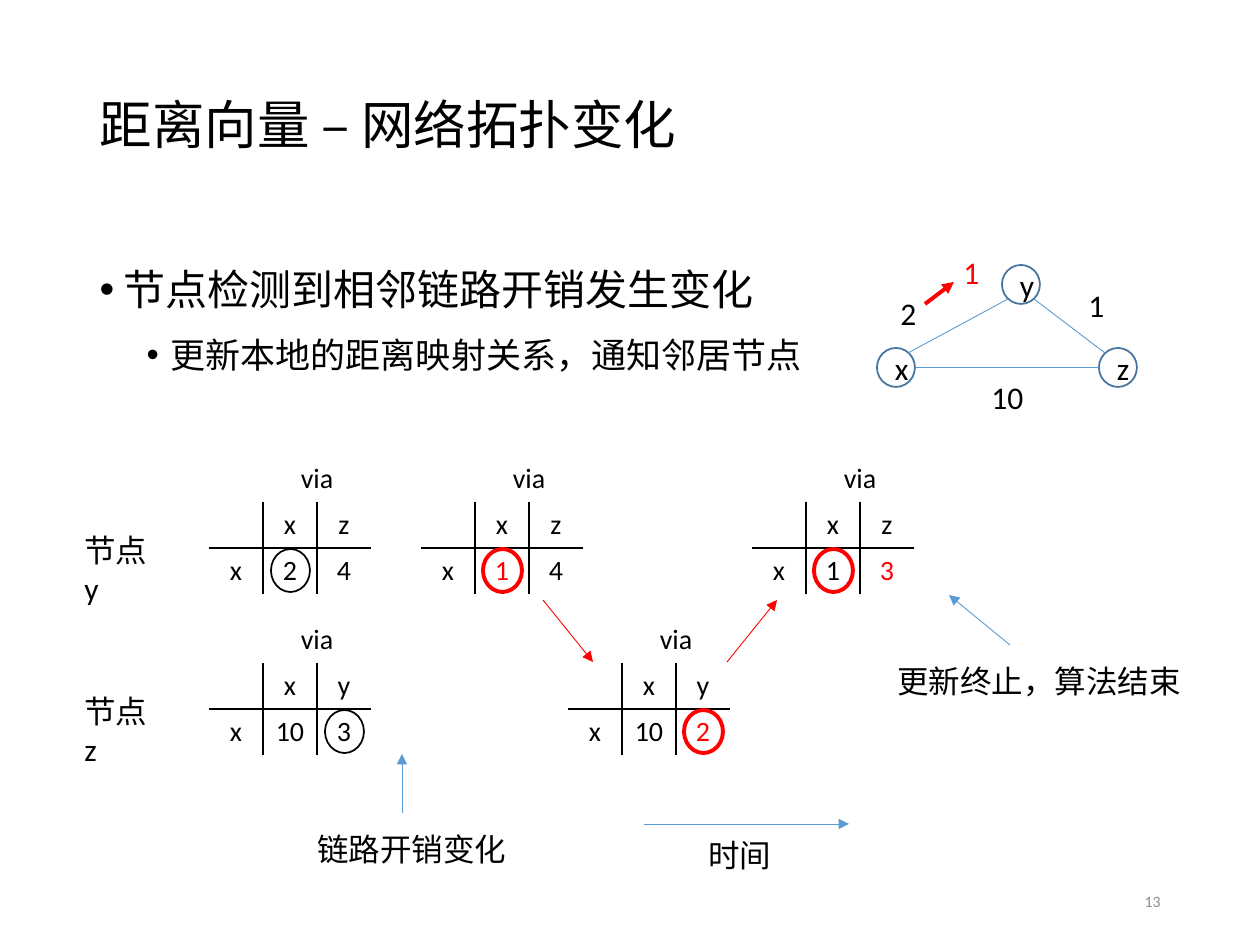
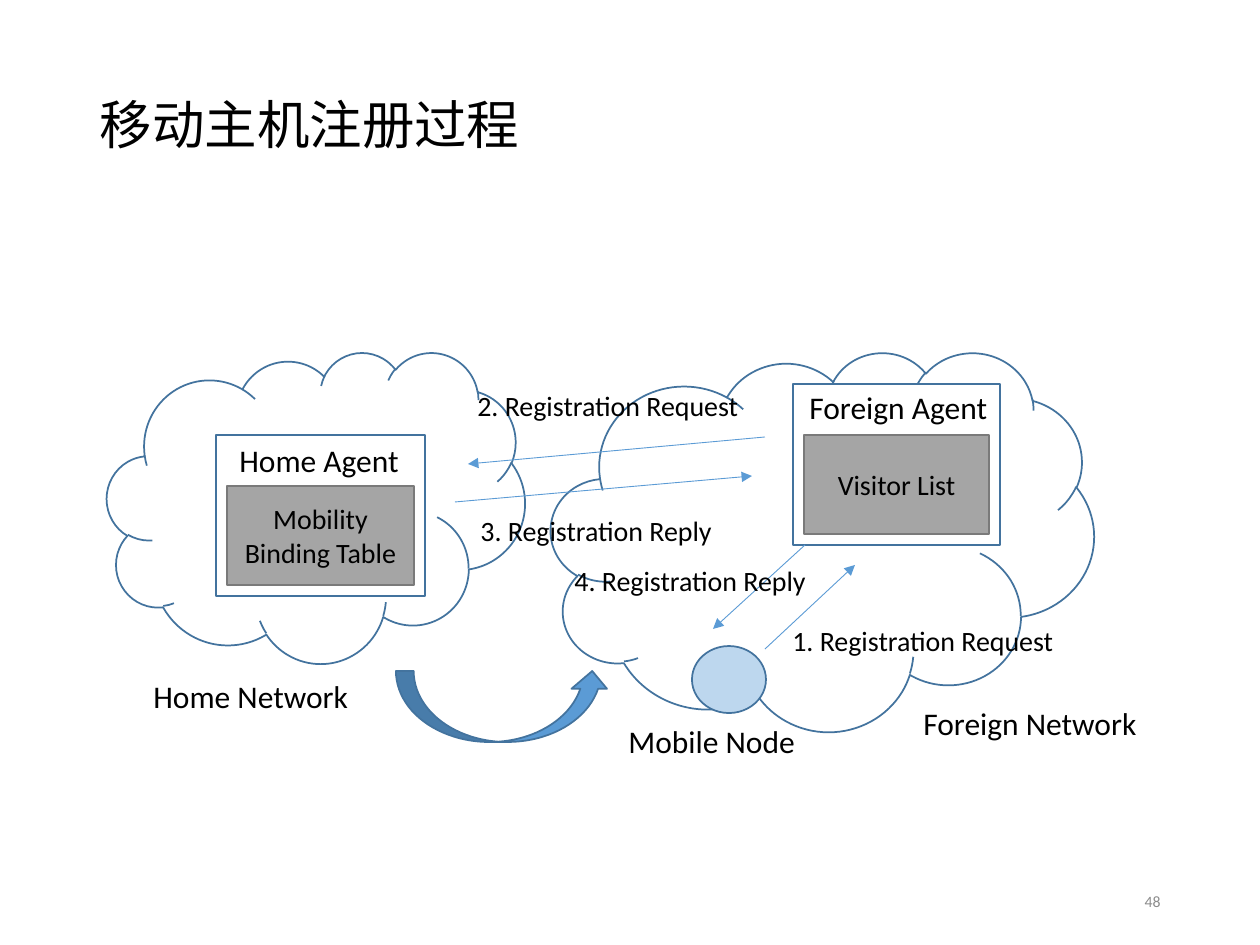
from lxml import etree
from pptx import Presentation
from pptx import util as u
from pptx.dml.color import RGBColor
from pptx.enum import shapes, text
from pptx.oxml.ns import qn

PX = u.Inches(1) / 126
LATIN, CJK = "Calibri", "Noto Sans CJK SC"
BLACK, WHITE, RED, GREY = "000000", "FFFFFF", "FF0000", "8C8C8C"
BLUE, OUTLINE, PALE_BLUE = "5B9BD5", "43739E", "BDD7EE"
PANEL, PANEL_EDGE = "A5A5A5", "7A7A7A"
COLUMN, ROW = 54, 46
PLAIN_TABLE = "{2D5ABB26-0587-4C30-8999-92F81FD0307C}"


def px(*lengths):
    return [u.Emu(round(length * PX)) for length in lengths]


def paint(color_format, value):
    color_format.rgb = RGBColor.from_string(value)


def style_runs(paragraph, size, color=BLACK, font=LATIN):
    for run in paragraph.runs:
        run.font.size = u.Pt(size)
        run.font.name = font
        paint(run.font.color, color)
        etree.SubElement(run._r.get_or_add_rPr(), qn("a:ea"), typeface=CJK)


def place(item, box):
    item.left, item.top, item.width, item.height = px(*box)


def add_label(canvas, box, words, size=18, color=BLACK, font=LATIN, wrap=False):
    label = canvas.add_textbox(*px(*box))
    frame = label.text_frame
    frame.text = words
    frame.word_wrap = wrap
    frame.auto_size = text.MSO_AUTO_SIZE.SHAPE_TO_FIT_TEXT
    style_runs(frame.paragraphs[0], size, color, font)
    return label


def add_figure(canvas, kind, box, fill=None, line=OUTLINE, weight=1, words="", size=18):
    figure = canvas.add_shape(kind, *px(*box))
    figure.shadow.inherit = False
    if fill:
        figure.fill.solid()
        paint(figure.fill.fore_color, fill)
    else:
        figure.fill.background()
    paint(figure.line.color, line)
    figure.line.width = u.Pt(weight)
    if words:
        frame = figure.text_frame
        frame.text = words
        frame.word_wrap = True
        frame.vertical_anchor = text.MSO_ANCHOR.MIDDLE
        frame.paragraphs[0].alignment = text.PP_ALIGN.CENTER
        style_runs(frame.paragraphs[0], size)
    return figure


def add_link(canvas, ends, color=BLUE, weight=0.5, arrow=True):
    link = canvas.add_connector(shapes.MSO_CONNECTOR.STRAIGHT, *px(*ends))
    paint(link.line.color, color)
    link.line.width = u.Pt(weight)
    properties = link.element.spPr
    if arrow:
        etree.SubElement(properties.find(qn("a:ln")), qn("a:tailEnd"), type="triangle")
    etree.SubElement(properties, qn("a:effectLst"))
    return link


def add_slide(deck, layout, heading, number):
    slide = deck.slides.add_slide(deck.slide_layouts[layout])
    title = slide.shapes.title
    place(title, (87, 50, 1086, 155))
    title.text_frame.text = heading
    title.text_frame.vertical_anchor = text.MSO_ANCHOR.MIDDLE
    line = title.text_frame.paragraphs[0]
    line.alignment = text.PP_ALIGN.LEFT
    line.line_spacing = 0.9
    style_runs(line, 30)
    page = add_label(slide.shapes, (890, 876, 283, 50), number, 9, GREY, wrap=True)
    page.text_frame.auto_size = text.MSO_AUTO_SIZE.NONE
    page.text_frame.vertical_anchor = text.MSO_ANCHOR.MIDDLE
    page.text_frame.paragraphs[0].alignment = text.PP_ALIGN.RIGHT
    return slide


def fill_body(body, points):
    place(body, (87, 242, 1086, 610))
    frame = body.text_frame
    frame.text = "\n".join(words for words, *_ in points)
    frame.auto_size = text.MSO_AUTO_SIZE.NONE
    for level, (point, (_, size, before, indent)) in enumerate(zip(frame.paragraphs, points)):
        point.level = level
        point.line_spacing = 1.3
        point.space_before = u.Pt(before)
        properties = point._p.get_or_add_pPr()
        hanging, margin = px(-24, indent)
        properties.set("marL", str(margin))
        properties.set("indent", str(hanging))
        etree.SubElement(properties, qn("a:buChar"), char="•")
        style_runs(point, size)


def rule_cell(cell, sides):
    properties = cell._tc.get_or_add_tcPr()
    for position, side in enumerate(sides):
        border = etree.Element(qn(f"a:ln{side}"), w=str(u.Pt(1)))
        solid = etree.SubElement(border, qn("a:solidFill"))
        etree.SubElement(solid, qn("a:srgbClr"), val=BLACK)
        properties.insert(position, border)


def add_distances(canvas, left, top, neighbours, costs, chosen, changed=None, ring=RED):
    frame = canvas.add_table(3, 3, *px(left, top, 3 * COLUMN, 3 * ROW))
    table = frame.table
    table.first_row = table.horz_banding = False
    frame.element.find(".//" + qn("a:tableStyleId")).text = PLAIN_TABLE
    for track in table.columns:
        track.width = px(COLUMN)[0]
    for track in table.rows:
        track.height = px(ROW)[0]
    table.cell(0, 1).merge(table.cell(0, 2))
    content = [["", "via", ""], ["", *neighbours], ["x", *costs]]
    for row, words in enumerate(content):
        for column, word in enumerate(words):
            cell = table.cell(row, column)
            cell.fill.background()
            cell.margin_left = cell.margin_right = cell.margin_top = cell.margin_bottom = 0
            cell.vertical_anchor = text.MSO_ANCHOR.MIDDLE
            if word:
                cell.text_frame.text = word
                line = cell.text_frame.paragraphs[0]
                line.alignment = text.PP_ALIGN.CENTER
                style_runs(line, 16, RED if (row, column) == (2, changed) else BLACK)
            if row:
                rule_cell(cell, ("R", "L", "")[column] + (" BT"[row]))
    add_figure(canvas, shapes.MSO_SHAPE.OVAL,
               (left + chosen * COLUMN + 8, top + 2 * ROW + 1, 39, 43),
               line=ring, weight=2.25 if ring == RED else 1)


def draw_topology(canvas):
    for name, left, top in (("x", 877, 348), ("y", 1002, 265), ("z", 1099, 348)):
        add_figure(canvas, shapes.MSO_SHAPE.OVAL, (left, top, 38, 39), words=name)
    for ends in ((908, 353, 1008, 299), (1034, 299, 1105, 353), (915, 367, 1099, 367)):
        add_link(canvas, ends, arrow=False)
    for cost, left, top, width, color in (
        ("10", 979, 372, 58, BLACK), ("1", 1076, 280, 42, BLACK),
        ("2", 888, 288, 42, BLACK), ("1", 951, 247, 42, RED),
    ):
        add_label(canvas, (left, top, width, 50), cost, color=color)
    add_link(canvas, (925, 304, 954, 282), RED, 2.25)


def build_topology_change(deck):
    slide = add_slide(deck, 1, "距离向量 – 网络拓扑变化", "13")
    canvas = slide.shapes
    fill_body(slide.placeholders[1], [
        ("节点检测到相邻链路开销发生变化", 24, 7.5, 24),
        ("更新本地的距离映射关系，通知邻居节点", 20, 3.8, 71),
    ])
    draw_topology(canvas.add_group_shape().shapes)

    node_y, node_z = 456, 617
    for name, top in (("节点y", node_y), ("节点z", node_z)):
        add_label(canvas, (72, top + 69, 96, 90), name, wrap=True)
    add_distances(canvas, 209, node_y, "xz", ("2", "4"), 1, ring=BLACK)
    add_distances(canvas, 209, node_z, "xy", ("10", "3"), 2, ring=BLACK)
    add_distances(canvas, 421, node_y, "xz", ("1", "4"), 1, changed=1)
    add_distances(canvas, 568, node_z, "xy", ("10", "2"), 2, changed=2)
    add_distances(canvas, 752, node_y, "xz", ("1", "3"), 1, changed=2)

    for ends in ((543, 600, 593, 662), (727, 662, 777, 600)):
        add_link(canvas, ends, RED)
    for ends in ((402, 813, 402, 754), (644, 824, 849, 824), (1010, 645, 949, 595)):
        add_link(canvas, ends)
    for words, left, top, width in (
        ("链路开销变化", 305, 824, 217), ("时间", 696, 830, 89),
        ("更新终止，算法结束", 885, 656, 311),
    ):
        add_label(canvas, (left, top, width, 50), words, font=CJK)


def add_agent(canvas, left, top, width, register):
    add_figure(canvas, shapes.MSO_SHAPE.RECTANGLE, (left, top, width, 161), WHITE)
    add_figure(canvas, shapes.MSO_SHAPE.RECTANGLE, (left + 11, top + 51, width - 22, 99),
               PANEL, PANEL_EDGE, words=register, size=16)


def build_registration(deck):
    canvas = add_slide(deck, 5, "移动主机注册过程", "48").shapes
    for network in ((107, 352, 418, 311), (551, 352, 543, 379)):
        add_figure(canvas, shapes.MSO_SHAPE.CLOUD, network, WHITE)
    add_agent(canvas, 216, 435, 209, "Mobility Binding Table")
    add_agent(canvas, 793, 384, 207, "Visitor List")
    add_figure(canvas, shapes.MSO_SHAPE.OVAL, (692, 646, 74, 67), PALE_BLUE)
    add_figure(canvas, shapes.MSO_SHAPE.CURVED_UP_ARROW, (396, 671, 214, 71), BLUE)
    for words, left, top, width in (
        ("Home Agent", 227, 435, 186), ("Foreign Agent", 797, 382, 204),
        ("Home Network", 141, 671, 222), ("Foreign Network", 911, 698, 241),
        ("Mobile Node", 616, 716, 194),
    ):
        add_label(canvas, (left, top, width, 50), words)
    for ends, message, left, top, width in (
        ((765, 649, 855, 565), "1. Registration Request", 780, 617, 290),
        ((765, 437, 468, 464), "2. Registration Request", 465, 382, 290),
        ((455, 502, 752, 476), "3. Registration Reply", 468, 507, 260),
        ((805, 545, 713, 629), "4. Registration Reply", 562, 557, 260),
    ):
        add_link(canvas, ends)
        add_label(canvas, (left, top, width, 47), message, 16)


def main():
    deck = Presentation()
    deck.slide_width, deck.slide_height = px(1260, 945)
    build_topology_change(deck)
    build_registration(deck)
    deck.save("out.pptx")


if __name__ == "__main__":
    main()
